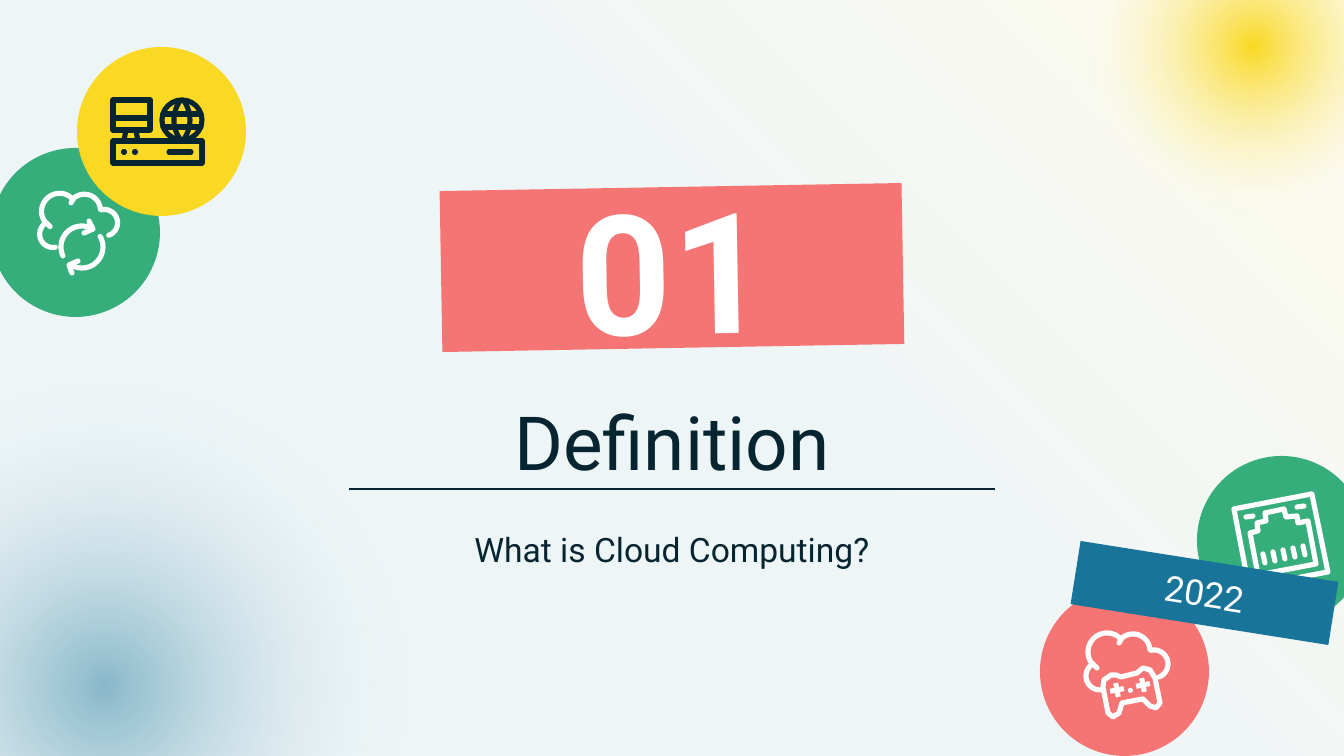
from math import cos, radians, sin

from lxml.etree import SubElement
from pptx import Presentation
from pptx.dml.color import RGBColor
from pptx.enum.shapes import MSO_CONNECTOR, MSO_SHAPE
from pptx.enum.text import MSO_ANCHOR, PP_ALIGN
from pptx.oxml.ns import qn
from pptx.util import Pt

PX = 9144000 / 1344
C = {"navy": "062531", "blue": "187498", "yellow": "F9D923", "green": "36AE7C",
     "coral": "F57474", "white": "FFFFFF"}

prs = Presentation()
prs.slide_width, prs.slide_height = round(1344 * PX), round(756 * PX)
s = prs.slides.add_slide(prs.slide_layouts[6])


def shape(kind, x, y, w, h, color=None, rot=0):
    sp = s.shapes.add_shape(kind, *(round(v * PX) for v in (x, y, w, h)))
    sp.shadow.inherit = False
    sp.line.fill.background()
    sp.rotation = rot
    if color:
        sp.fill.solid()
        sp.fill.fore_color.rgb = RGBColor.from_string(C[color])
    return sp


def stroke(paths, color="white", k=1, dx=0, dy=0):
    """Draw paths as one line icon; a path mixes points (x, y), arcs
    (cx, cy, r, start, end) and a final "close"."""
    fb = None
    for path in paths:
        closed = path[-1] == "close"
        pts = []
        for part in path[:-1] if closed else path:
            if len(part) == 2:
                pts.append(part)
            else:
                cx, cy, r, a, b = part
                for i in range(25):
                    t = radians(a + (b - a) * i / 24)
                    pts.append((cx + r * cos(t), cy + r * sin(t)))
        pts = [(round((x * k + dx) * PX), round((y * k + dy) * PX)) for x, y in pts]
        if fb is None:
            fb = s.shapes.build_freeform(*pts[0], scale=1.0)
        else:
            fb.move_to(*pts[0])
        fb.add_line_segments(pts[1:], close=closed)
    sp = fb.convert_to_shape()
    sp.shadow.inherit = False
    sp.fill.background()
    sp.line.color.rgb = RGBColor.from_string(C[color])
    sp.line.width = Pt(2.75)
    ln = sp.line._get_or_add_ln()
    ln.set("cap", "rnd")
    SubElement(ln, qn("a:round"))


# Background wash and two glows: stops are (position, colour, opacity)
clear = [(50, "white", 0), (100, "white", 0)]
for kind, box, stops, angle in [
    (MSO_SHAPE.RECTANGLE, (-5, -5, 1354, 767),
     [(0, "blue", 7), (50, "blue", 7), (100, "yellow", 7)], 315),
    (MSO_SHAPE.OVAL, (-363, 219, 935, 935), [(0, "blue", 47)] + clear, None),
    (MSO_SHAPE.OVAL, (988, -219, 530, 530), [(0, "yellow", 100)] + clear, None),
]:
    sp = shape(kind, *box)
    sp.fill.gradient()
    grad = sp._element.spPr.find(qn("a:gradFill"))
    for child in list(grad):
        grad.remove(child)
    gs_list = SubElement(grad, qn("a:gsLst"))
    for pos, color, opacity in stops:
        gs = SubElement(gs_list, qn("a:gs"), pos=str(pos * 1000))
        clr = SubElement(gs, qn("a:srgbClr"), val=C[color])
        SubElement(clr, qn("a:alpha"), val=str(opacity * 1000))
    if angle:
        SubElement(grad, qn("a:lin"), ang=str(angle * 60000), scaled="0")
    else:
        glow = SubElement(grad, qn("a:path"), path="circle")
        SubElement(glow, qn("a:fillToRect"), l="50000", t="50000", r="50000", b="50000")

# Cloud gaming badge
cloud = [
    [(1100, 676, 14, 80, 235), (1107, 652, 19, 145, 300), (1133, 651, 17, 225, 355),
     (1154, 664, 14, 255, 430)],
    [(1122, 638), (1119, 643)],
    [(1092, 663), (1097, 668)],
]
gamepad = [(1111, 675), (1104, 680), (1103, 687), (1108, 713), (1113, 717), (1119, 713),
           (1122, 703), (1143, 699), (1150, 706), (1156, 708), (1160, 703), (1155, 678),
           (1150, 670), (1143, 668), (1137, 673), (1121, 677), (1116, 675), "close"]
shape(MSO_SHAPE.OVAL, 1040, 587, 169, 169, "coral")
stroke(cloud + [gamepad])
for x, y in [(1143, 685), (1117, 690)]:
    button = shape(MSO_SHAPE.CROSS, x - 7, y - 7, 14, 14, "white", -11)
    button.adjustments[0] = 0.32
shape(MSO_SHAPE.OVAL, 1128, 688, 5, 5, "white")

# Network port badge
shape(MSO_SHAPE.OVAL, 1197, 456, 169, 169, "green")
stroke([[(1312, 494), (1328, 572), (1249, 587), (1234, 509), "close"]])
stroke([[(1284, 509), (1286, 517), (1297, 516), (1298, 523), (1308, 521), (1316, 564),
         (1258, 575), (1250, 533), (1258, 531), (1257, 523), (1266, 521), (1265, 513),
         "close"]])
for i in range(5):
    x, y = 1263 + 10 * i, 554 - 2 * i
    stroke([[(x, y), (x + 2, y + 9)]])
for x, y in [(1297, 507), (1246, 517)]:
    stroke([[(x, y), (x + 7, y - 1)]])

# Rule under the title
rule = s.shapes.add_connector(MSO_CONNECTOR.STRAIGHT,
                              *(round(v * PX) for v in (349, 489, 995, 489)))
rule.line.color.rgb = RGBColor.from_string(C["navy"])
rule.line.width = Pt(0.75)
SubElement(rule._element.spPr, qn("a:effectLst"))

# Texts and banners
for text, box, fill, rot, size, color, bold, anchor in [
    ("Definition", (328, 396, 688, 82), None, 0, 40, "navy", False, MSO_ANCHOR.TOP),
    ("01", (441, 187, 462, 161), "coral", -1, 90, "white", True, MSO_ANCHOR.MIDDLE),
    ("What is Cloud Computing?", (328, 529, 688, 44), None, 0, 18, "navy", False,
     MSO_ANCHOR.TOP),
    ("2022", (1074, 561, 261, 64), "blue", 9, 19, "white", False, MSO_ANCHOR.MIDDLE),
]:
    if fill:
        sp = shape(MSO_SHAPE.RECTANGLE, *box, fill, rot)
    else:
        sp = s.shapes.add_textbox(*(round(v * PX) for v in box))
    tf = sp.text_frame
    tf.word_wrap = True
    tf.vertical_anchor = anchor
    tf.margin_left = tf.margin_right = tf.margin_top = tf.margin_bottom = 0
    p = tf.paragraphs[0]
    p.alignment = PP_ALIGN.CENTER
    r = p.add_run()
    r.text = text
    r.font.name = "Roboto"
    r.font.size = Pt(size)
    r.font.bold = bold
    r.font.color.rgb = RGBColor.from_string(C[color])

# Cloud sync badge
shape(MSO_SHAPE.OVAL, -9, 148, 169, 169, "green")
stroke(cloud, k=0.95, dx=-992, dy=-408)
stroke([
    [(82, 247, 21, 155, 288)],
    [(89, 221), (93, 229), (84, 233)],
    [(82, 247, 21, -30, 113)],
    [(78, 261), (69, 265), (72, 273)],
])

# Web server badge
shape(MSO_SHAPE.OVAL, 77, 47, 169, 169, "yellow")
stroke([
    [(113, 100), (150, 100), (150, 130), (113, 130), "close"],
    [(113, 141), (202, 141), (202, 163), (113, 163), "close"],
    [(113, 118), (150, 118)],
    [(126, 130), (124, 141)],
    [(136, 130), (138, 141)],
    [(163, 114), (201, 114)],
    [(163, 127), (201, 127)],
    [(182, 120, 20, 0, 360)],
    [(207, 120, 33, 143, 217)],
    [(157, 120, 33, -37, 37)],
], "navy")
stroke([[(169, 152), (191, 152)]], "navy")
for x in (124, 135):
    shape(MSO_SHAPE.OVAL, x - 3, 149, 6, 6, "navy")

prs.save("out.pptx")
